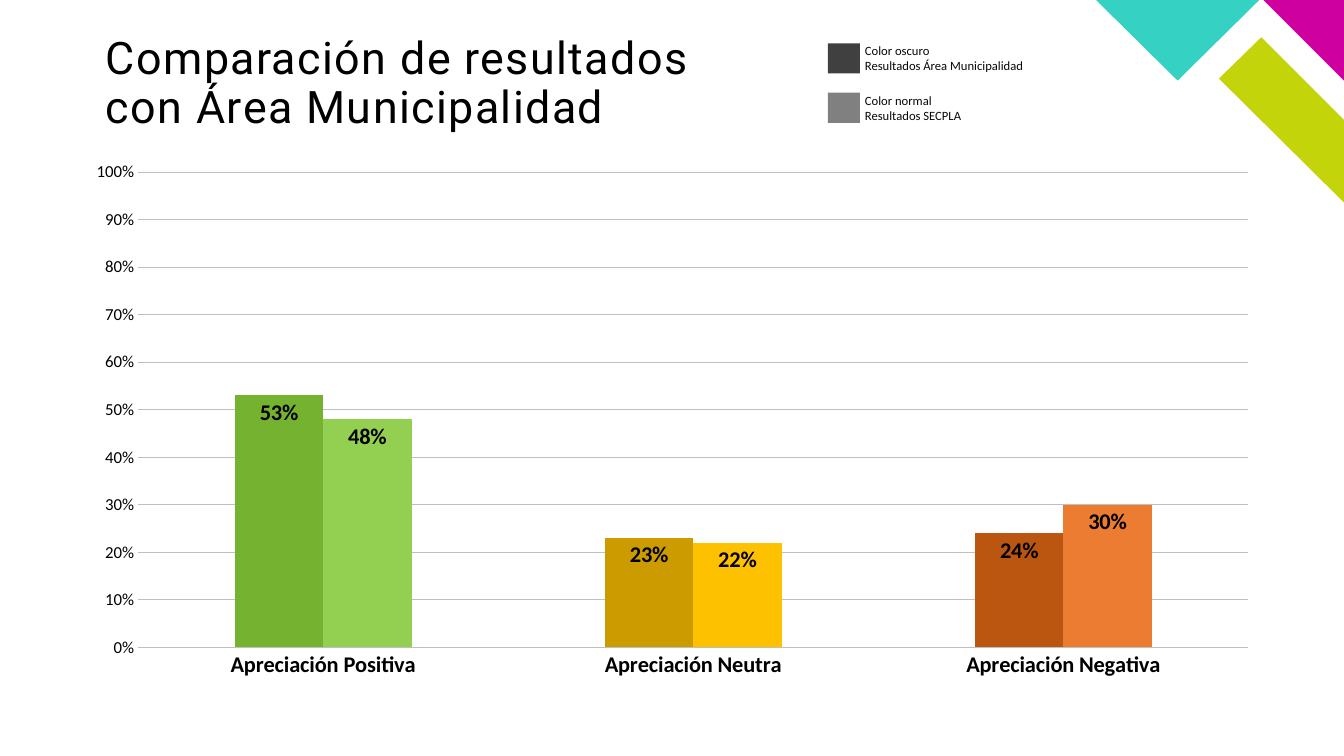
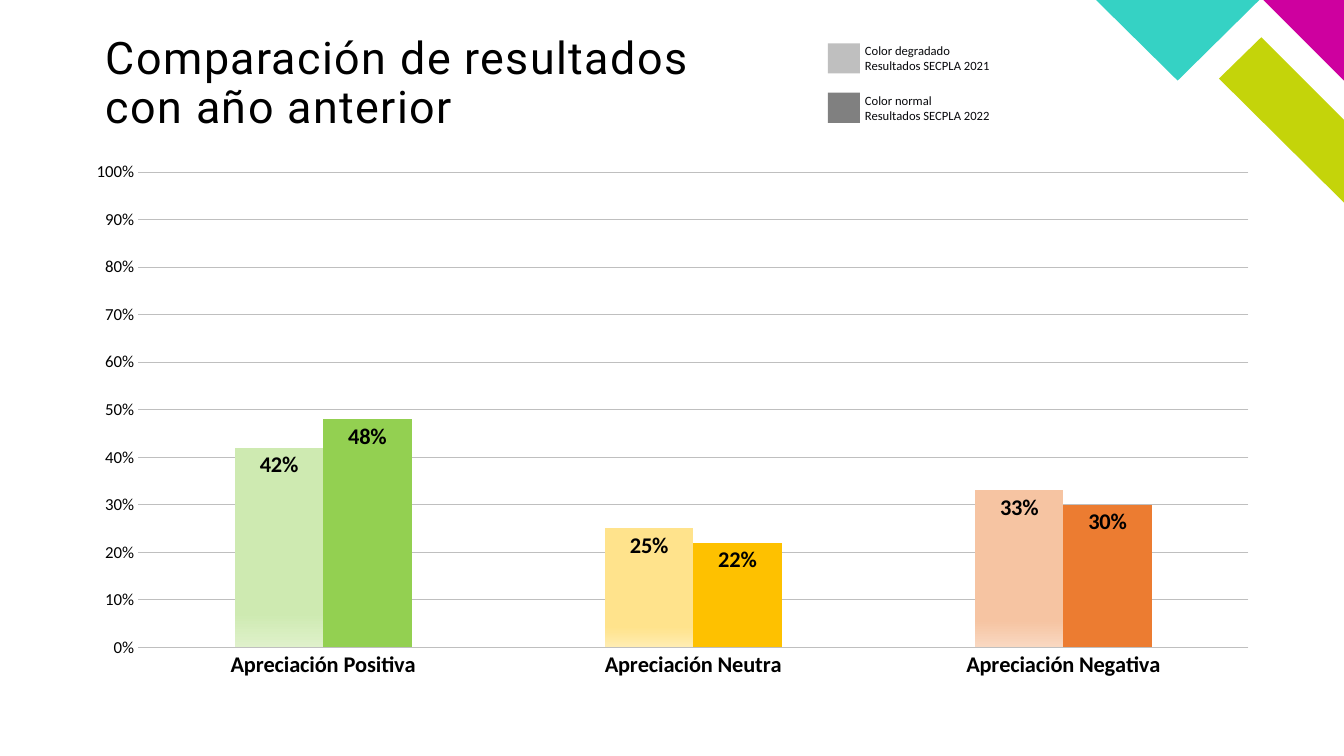
"""Build two slides comparing survey results as clustered columns."""
from dataclasses import dataclass

from pptx import Presentation as Deck
from pptx.chart.data import CategoryChartData as Data
from pptx.dml.color import RGBColor as Rgb
from pptx.dml.fill import FillFormat as Fill
from pptx.enum.chart import XL_CHART_TYPE as Kind
from pptx.enum.chart import XL_LABEL_POSITION as Spot
from pptx.enum.chart import XL_TICK_MARK as Tick
from pptx.enum.shapes import MSO_SHAPE as Form
from pptx.enum.text import MSO_AUTO_SIZE as Fit
from pptx.slide import Slide
from pptx.text.text import Font
from pptx.util import Inches, Pt

BLACK = Rgb(0x00, 0x00, 0x00)
INK = Rgb(0x07, 0x08, 0x0B)
TEAL = Rgb(0x35, 0xD2, 0xC4)
PINK = Rgb(0xCE, 0x00, 0x9F)
LIME = Rgb(0xC4, 0xD4, 0x0A)
DARK = Rgb(0x40, 0x40, 0x40)
GREY = Rgb(0x80, 0x80, 0x80)
PALE = Rgb(0xBF, 0xBF, 0xBF)
DEEP_GREEN = Rgb(0x74, 0xB2, 0x30)
DEEP_GOLD = Rgb(0xCC, 0x9B, 0x00)
DEEP_RUST = Rgb(0xBB, 0x56, 0x11)
GREEN = Rgb(0x93, 0xD0, 0x51)
GOLD = Rgb(0xFE, 0xC1, 0x00)
RUST = Rgb(0xEC, 0x7C, 0x31)
SOFT_GREEN = Rgb(0xCE, 0xEA, 0xB1)
SOFT_GOLD = Rgb(0xFF, 0xE3, 0x8C)
SOFT_RUST = Rgb(0xF6, 0xC4, 0xA2)
MIST_GREEN = Rgb(0xDF, 0xF1, 0xCB)
MIST_GOLD = Rgb(0xFF, 0xED, 0xB2)
MIST_RUST = Rgb(0xF9, 0xD8, 0xC1)

BODY = "Calibri"
HEAD = "Roboto"
GROUPS = ("Apreciación Positiva", "Apreciación Neutra", "Apreciación Negativa")
KEY_TOP = 0.43
KEY_STEP = 0.49


@dataclass(frozen=True)
class Patch:
    """A coloured corner outline."""
    tint: Rgb
    dots: tuple[tuple[float, float], ...]


@dataclass(frozen=True)
class Shade:
    """A bar colour that may fade near the foot."""
    tint: Rgb
    foot: Rgb | None = None


@dataclass(frozen=True)
class Row:
    """One series with its legend key."""
    key: Rgb
    lines: tuple[str, str]
    vals: tuple[float, ...]
    shades: tuple[Shade, ...]


@dataclass(frozen=True)
class Page:
    """The content of one slide."""
    title: str
    rows: tuple[Row, Row]


PATCHES = (
    Patch(LIME, ((13.33, 2.01), (13.33, 1.19), (12.51, 0.37), (12.09, 0.78))),
    Patch(PINK, ((13.33, 0.8), (13.33, 0), (12.53, 0))),
    Patch(TEAL, ((10.87, 0), (11.68, 0.8), (12.49, 0))),
)
NOW = (0.48, 0.22, 0.3)
PLAIN = (Shade(GREEN), Shade(GOLD), Shade(RUST))
DEEP = (Shade(DEEP_GREEN), Shade(DEEP_GOLD), Shade(DEEP_RUST))
FADED = (
    Shade(SOFT_GREEN, MIST_GREEN),
    Shade(SOFT_GOLD, MIST_GOLD),
    Shade(SOFT_RUST, MIST_RUST),
)
PAGES = (
    Page("Comparación de resultados con Área Municipalidad", (
        Row(DARK, ("Color oscuro", "Resultados Área Municipalidad"),
            (0.53, 0.23, 0.24), DEEP),
        Row(GREY, ("Color normal", "Resultados SECPLA"), NOW, PLAIN),
    )),
    Page("Comparación de resultados con año anterior", (
        Row(PALE, ("Color degradado", "Resultados SECPLA 2021"),
            (0.42, 0.25, 0.33), FADED),
        Row(GREY, ("Color normal", "Resultados SECPLA 2022"), NOW, PLAIN),
    )),
)


def set_font(font: Font, name: str, size: float, tint: Rgb,
             bold: bool = False) -> None:
    """Set the face, size, colour and weight of a font."""
    font.name = name
    font.size = Pt(size)
    font.bold = bold
    font.color.rgb = tint


def paint(fill: Fill, shade: Shade) -> None:
    """Fill with one colour, or fade it towards the foot."""
    if shade.foot is None:
        fill.solid()
        fill.fore_color.rgb = shade.tint
        return
    fill.gradient()
    fill.gradient_angle = 270
    for stop, place, tint in zip(fill.gradient_stops, (0.83, 1),
                                 (shade.tint, shade.foot)):
        stop.position = place
        stop.color.rgb = tint


def draw_patch(slide: Slide, patch: Patch) -> None:
    """Draw one corner outline."""
    first, *rest = [(Inches(x), Inches(y)) for x, y in patch.dots]
    pen = slide.shapes.build_freeform(*first)
    pen.add_line_segments(rest, close=True)
    shape = pen.convert_to_shape()
    shape.shadow.inherit = False
    paint(shape.fill, Shade(patch.tint))
    shape.line.fill.background()


def draw_title(slide: Slide, text: str) -> None:
    """Draw the slide title with wide letter gaps."""
    frame = slide.shapes.add_textbox(
        Inches(1.05), Inches(0.36), Inches(5.92), Inches(1.14)).text_frame
    frame.word_wrap = True
    frame.margin_left = frame.margin_right = 0
    frame.margin_top = frame.margin_bottom = 0
    para = frame.paragraphs[0]
    para.line_spacing = 0.9
    run = para.add_run()
    run.text = text
    set_font(run.font, HEAD, 32, BLACK)
    run._r.get_or_add_rPr().set("spc", "100")


def draw_key(slide: Slide, row: Row, top: float) -> None:
    """Draw one legend swatch and its two lines."""
    box = slide.shapes.add_shape(
        Form.RECTANGLE, Inches(8.21), Inches(top), Inches(0.32), Inches(0.3))
    box.shadow.inherit = False
    paint(box.fill, Shade(row.key))
    box.line.fill.background()
    frame = slide.shapes.add_textbox(
        Inches(8.48), Inches(top - 0.05), Inches(3.18), Inches(0.4)).text_frame
    frame.word_wrap = True
    frame.auto_size = Fit.SHAPE_TO_FIT_TEXT
    for i, line in enumerate(row.lines):
        para = frame.add_paragraph() if i else frame.paragraphs[0]
        run = para.add_run()
        run.text = line
        set_font(run.font, BODY, 9, INK)


def draw_chart(slide: Slide, rows: tuple[Row, ...]) -> None:
    """Draw the column chart."""
    data = Data(number_format="0%")
    data.categories = GROUPS
    for i, row in enumerate(rows, 1):
        data.add_series(f"Series {i}", row.vals)
    chart = slide.shapes.add_chart(
        Kind.COLUMN_CLUSTERED, Inches(0.72), Inches(1.5),
        Inches(11.9), Inches(5.34), data).chart
    chart.has_title = chart.has_legend = False
    set_font(chart.font, BODY, 10, BLACK)

    base = chart.category_axis
    base.major_tick_mark = base.minor_tick_mark = Tick.NONE
    base.format.line.color.rgb = PALE
    base.format.line.width = Pt(0.75)
    set_font(base.tick_labels.font, BODY, 16, BLACK, True)

    side = chart.value_axis
    side.major_tick_mark = side.minor_tick_mark = Tick.NONE
    side.minimum_scale, side.maximum_scale, side.major_unit = 0, 1, 0.1
    side.format.line.fill.background()
    side.major_gridlines.format.line.color.rgb = PALE
    side.major_gridlines.format.line.width = Pt(0.5)
    side.tick_labels.number_format = "0%"
    side.tick_labels.number_format_is_linked = False
    set_font(side.tick_labels.font, BODY, 12, BLACK)

    plot = chart.plots[0]
    plot.vary_by_categories = False
    plot.gap_width, plot.overlap = 219, 0
    for bars, row in zip(plot.series, rows):
        bars.invert_if_negative = False
        for i, shade in enumerate(row.shades):
            paint(bars.points[i].format.fill, shade)
        marks = bars.data_labels
        marks.show_value = True
        marks.position = Spot.INSIDE_END
        marks.number_format = "0%"
        marks.number_format_is_linked = False
        set_font(marks.font, BODY, 16, BLACK, True)


def draw_page(slide: Slide, page: Page) -> None:
    """Draw one whole slide."""
    for patch in PATCHES:
        draw_patch(slide, patch)
    draw_title(slide, page.title)
    draw_chart(slide, page.rows)
    for i, row in enumerate(page.rows):
        draw_key(slide, row, KEY_TOP + i * KEY_STEP)


def main() -> None:
    """Build and save the deck."""
    deck = Deck()
    deck.slide_width, deck.slide_height = Inches(13.33), Inches(7.5)
    for page in PAGES:
        draw_page(deck.slides.add_slide(deck.slide_layouts[6]), page)
    deck.save("out.pptx")


if __name__ == "__main__":
    main()
